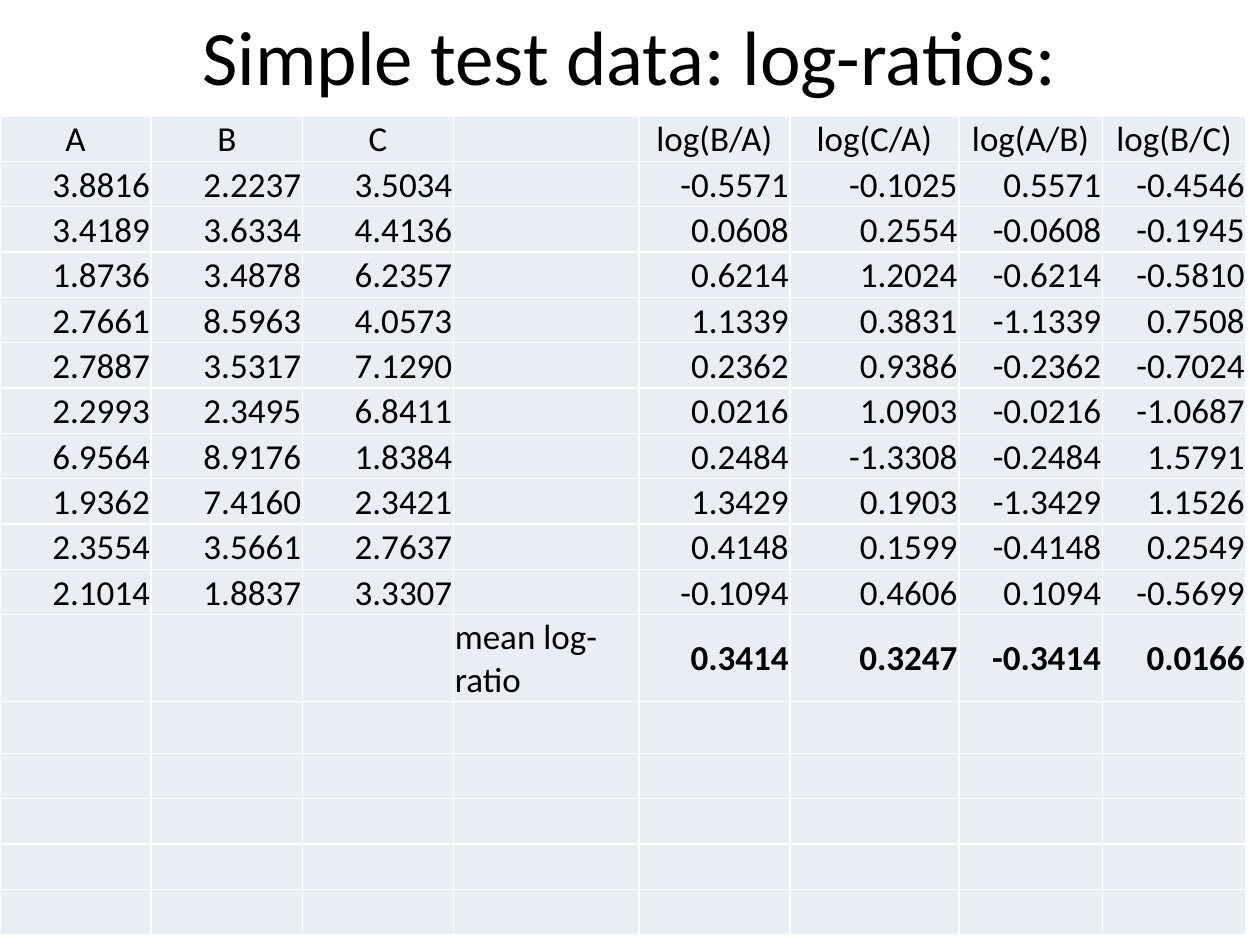
import dataclasses

import lxml.etree
import pptx
import pptx.dml.color
import pptx.enum.text
import pptx.oxml.ns
import pptx.util

Inches = pptx.util.Inches
Align = pptx.enum.text.PP_ALIGN
Anchor = pptx.enum.text.MSO_ANCHOR


@dataclasses.dataclass(frozen=True)
class Theme:
    font: str = "Calibri"
    ink: str = "000000"
    cell_fill: str = "E9EDF4"
    border: str = "FFFFFF"
    border_width: int = 1
    title_size: int = 44
    cell_size: int = 20
    empty_size: int = 18


THEME = Theme()

HEADINGS = ["A", "B", "C", "", "log(B/A)", "log(C/A)", "log(A/B)", "log(B/C)"]
SAMPLES = [
    ["3.8816", "2.2237", "3.5034", "", "-0.5571", "-0.1025", "0.5571", "-0.4546"],
    ["3.4189", "3.6334", "4.4136", "", "0.0608", "0.2554", "-0.0608", "-0.1945"],
    ["1.8736", "3.4878", "6.2357", "", "0.6214", "1.2024", "-0.6214", "-0.5810"],
    ["2.7661", "8.5963", "4.0573", "", "1.1339", "0.3831", "-1.1339", "0.7508"],
    ["2.7887", "3.5317", "7.1290", "", "0.2362", "0.9386", "-0.2362", "-0.7024"],
    ["2.2993", "2.3495", "6.8411", "", "0.0216", "1.0903", "-0.0216", "-1.0687"],
    ["6.9564", "8.9176", "1.8384", "", "0.2484", "-1.3308", "-0.2484", "1.5791"],
    ["1.9362", "7.4160", "2.3421", "", "1.3429", "0.1903", "-1.3429", "1.1526"],
    ["2.3554", "3.5661", "2.7637", "", "0.4148", "0.1599", "-0.4148", "0.2549"],
    ["2.1014", "1.8837", "3.3307", "", "-0.1094", "0.4606", "0.1094", "-0.5699"],
]
MEANS = ["", "", "", "mean log-ratio", "0.3414", "0.3247", "-0.3414", "0.0166"]
EMPTY_ROWS = 5
COLUMN_WIDTHS = [1.2, 1.2, 1.2, 1.47, 1.2, 1.34, 1.14, 1.14]
ROW_HEIGHT = 0.36
SPACER_HEIGHT = 0.41


def apply(target, values):
    for name, value in values.items():
        setattr(target, name, value)


def color(value):
    return pptx.dml.color.RGBColor.from_string(value)


def write(paragraph, text, size, alignment, bold=False):
    paragraph.alignment = alignment
    span = paragraph.add_run()
    span.text = text
    apply(span.font, {"name": THEME.font, "size": pptx.util.Pt(size), "bold": bold})
    span.font.color.rgb = color(THEME.ink)


def add_title(page, text):
    title = page.shapes.title
    apply(title, {"left": Inches(0.5), "top": Inches(-0.19),
                  "width": Inches(9), "height": Inches(1.25)})
    title.text_frame.vertical_anchor = Anchor.MIDDLE
    write(title.text_frame.paragraphs[0], text, THEME.title_size, Align.CENTER)


def add_element(parent, tag, **attributes):
    return lxml.etree.SubElement(parent, pptx.oxml.ns.qn(tag), attributes)


def set_borders(cell):
    properties = cell._tc.get_or_add_tcPr()
    width = str(pptx.util.Pt(THEME.border_width))
    for position, side in enumerate(("a:lnL", "a:lnR", "a:lnT", "a:lnB")):
        line = add_element(properties, side, w=width)
        add_element(add_element(line, "a:solidFill"), "a:srgbClr", val=THEME.border)
        properties.insert(position, line)


def fill_cell(cell, text, alignment, anchor, bold):
    apply(cell, {"margin_left": Inches(0.01), "margin_right": Inches(0.01),
                 "margin_top": Inches(0.01), "margin_bottom": 0,
                 "vertical_anchor": anchor})
    cell.fill.solid()
    cell.fill.fore_color.rgb = color(THEME.cell_fill)
    set_borders(cell)
    paragraph = cell.text_frame.paragraphs[0]
    if text:
        write(paragraph, text, THEME.cell_size, alignment, bold)
    else:
        add_element(paragraph._p, "a:endParaRPr", sz=str(THEME.empty_size * 100))


def cell_format(row, text):
    if row == 0:
        return Align.CENTER, Anchor.BOTTOM, False
    if text == "mean log-ratio":
        return Align.LEFT, Anchor.BOTTOM, False
    if row == len(SAMPLES) + 1:
        return Align.RIGHT, Anchor.MIDDLE, True
    return Align.RIGHT, Anchor.BOTTOM, False


def add_ratio_table(page):
    rows = [HEADINGS, *SAMPLES, MEANS] + [[""] * len(HEADINGS)] * EMPTY_ROWS
    heights = [ROW_HEIGHT] * len(rows)
    heights[len(SAMPLES) + 2] = SPACER_HEIGHT
    frame = page.shapes.add_table(
        len(rows), len(HEADINGS), Inches(0), Inches(0.92),
        Inches(sum(COLUMN_WIDTHS)), Inches(sum(heights)))
    table = frame.table
    apply(table, {"first_row": False, "horz_banding": False})
    for column, width in zip(table.columns, COLUMN_WIDTHS):
        column.width = Inches(width)
    for row, height in zip(table.rows, heights):
        row.height = Inches(height)
    for row, texts in enumerate(rows):
        for column, text in enumerate(texts):
            fill_cell(table.cell(row, column), text, *cell_format(row, text))


def main():
    deck = pptx.Presentation()
    apply(deck, {"slide_width": Inches(10), "slide_height": Inches(7.5)})
    page = deck.slides.add_slide(deck.slide_layouts.get_by_name("Title Only"))
    add_title(page, "Simple test data: log-ratios:")
    add_ratio_table(page)
    deck.save("out.pptx")


if __name__ == "__main__":
    main()
